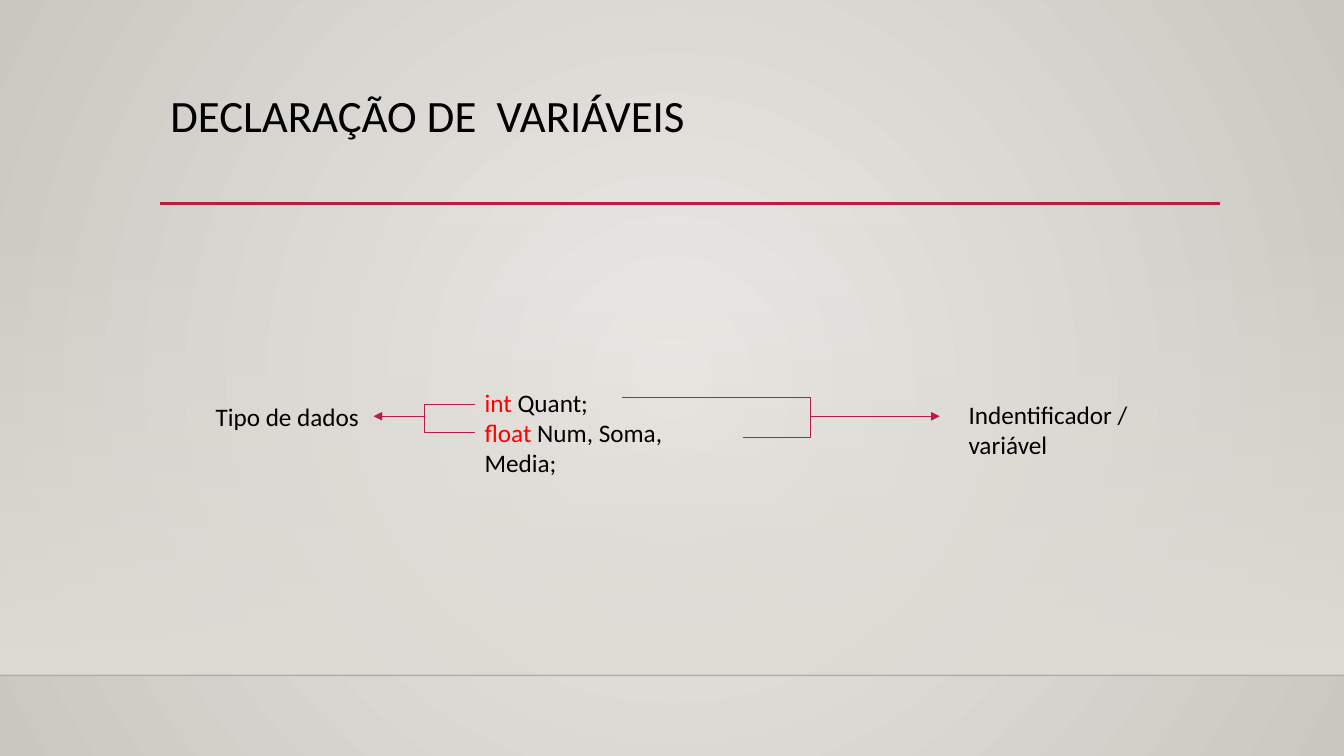
from dataclasses import dataclass

from lxml.etree import SubElement as add_node
from pptx import Presentation
from pptx.dml.color import RGBColor
from pptx.enum.shapes import MSO_CONNECTOR as Route, MSO_SHAPE as Preset
from pptx.enum.text import MSO_ANCHOR as Anchor, MSO_AUTO_SIZE as AutoSize, PP_ALIGN as Align
from pptx.oxml.ns import qn
from pptx.util import Emu, Pt

COLUMNS, ROWS = 40, 22.5
CELL = 304800
TITLE_ONLY = 5


@dataclass(frozen=True)
class Theme:
    font: str = "Calibri"
    title_size: int = 32
    text_size: int = 18
    ink: str = "000000"
    keyword: str = "FF0000"
    accent: str = "B71E42"
    floor: str = "000001"
    panel: str = "DFDBD5"
    glow: str = "ECEAE7"
    edge: str = "CAC7C1"


def cells(*values):
    return [Emu(round(value * CELL)) for value in values]


def apply(target, formats):
    for name, value in formats.items():
        setattr(target, name, value)


class SlideBuilder:
    def __init__(self, deck, theme):
        self.theme = theme
        self.page = deck.slides.add_slide(deck.slide_layouts[TITLE_ONLY])

    def gradient(self, owner, element, stops):
        owner.fill.gradient()
        node = next(element.iter(qn("a:gradFill")))
        for child in list(node):
            node.remove(child)
        stop_list = add_node(node, qn("a:gsLst"))
        for position, color, alpha in stops:
            stop = add_node(stop_list, qn("a:gs"), {"pos": str(position * 1000)})
            shade = add_node(stop, qn("a:srgbClr"), {"val": color})
            add_node(shade, qn("a:alpha"), {"val": str(alpha * 1000)})
        return node

    def backdrop(self):
        stops = [(0, self.theme.glow, 100), (100, self.theme.edge, 100)]
        node = self.gradient(self.page.background, self.page._element, stops)
        circle = add_node(node, qn("a:path"), {"path": "circle"})
        add_node(circle, qn("a:fillToRect"), dict.fromkeys("ltrb", "50000"))

    def panel(self, *place):
        box = self.page.shapes.add_shape(Preset.RECTANGLE, *cells(*place))
        box.shadow.inherit = False
        box.line.fill.background()
        stops = [(0, self.theme.panel, 0), (100, self.theme.panel, 100)]
        node = self.gradient(box, box._element, stops)
        add_node(node, qn("a:lin"), {"ang": "5400000", "scaled": "0"})

    def line(self, start, end, color, width, route=Route.STRAIGHT, alpha=100):
        line = self.page.shapes.add_connector(route, *cells(*start, *end))
        line.line.width = Pt(width)
        line.line.color.rgb = RGBColor.from_string(color)
        shade = next(line._element.iter(qn("a:srgbClr")))
        add_node(shade, qn("a:alpha"), {"val": str(alpha * 1000)})
        add_node(line._element.spPr, qn("a:effectLst"))
        return line

    def bent_arrow(self, start, end, bend):
        line = self.line(start, end, self.theme.accent, 0.75, Route.ELBOW)
        share = (bend - start[0]) / (end[0] - start[0])
        guides = next(line._element.iter(qn("a:avLst")))
        add_node(guides, qn("a:gd"), {"name": "adj1", "fmla": f"val {round(share * 100000)}"})
        outline = next(line._element.iter(qn("a:ln")))
        add_node(outline, qn("a:tailEnd"), {"type": "triangle"})

    def fill_text(self, box, lines, size):
        para = box.text_frame.paragraphs[0]
        para.alignment = Align.LEFT
        for index, pieces in enumerate(lines):
            if index:
                para.add_line_break()
            for text, color in pieces:
                span = para.add_run()
                span.text = text
                apply(span.font, {"name": self.theme.font, "size": Pt(size)})
                span.font.color.rgb = RGBColor.from_string(color)
        return para

    def title(self, text, *place):
        box = self.page.shapes.title
        apply(box, dict(zip(("left", "top", "width", "height"), cells(*place))))
        apply(box.text_frame, {"vertical_anchor": Anchor.TOP, "word_wrap": True})
        para = self.fill_text(box, [[(text, self.theme.ink)]], self.theme.title_size)
        para.line_spacing = 0.9

    def text(self, lines, *place):
        box = self.page.shapes.add_textbox(*cells(*place))
        apply(box.text_frame, {"word_wrap": True, "auto_size": AutoSize.SHAPE_TO_FIT_TEXT})
        self.fill_text(box, lines, self.theme.text_size)


def main():
    deck = Presentation()
    apply(deck, dict(zip(("slide_width", "slide_height"), cells(COLUMNS, ROWS))))
    theme = Theme()
    slide = SlideBuilder(deck, theme)

    slide.backdrop()
    slide.panel(0, 6.63, COLUMNS, 13.47)
    slide.line((0, 20.1), (COLUMNS, 20.1), theme.floor, 1, alpha=20)
    slide.line((4.77, 6.06), (36.3, 6.06), theme.accent, 2.5)
    slide.title("DECLARAÇÃO DE  VARIÁVEIS", 4.77, 2.64, 31.5, 3.45)

    code = [
        [("int", theme.keyword), (" Quant;", theme.ink)],
        [("float", theme.keyword), (" Num, Soma, Media;", theme.ink)],
    ]
    slide.text(code, 14.13, 11.37, 7.98, 3.03)
    slide.text([[("Tipo de dados", theme.ink)]], 6.12, 11.79, 4.98, 1.2)
    slide.text([[("Indentificador / variável", theme.ink)]], 28.53, 11.73, 7.74, 1.2)

    type_tip, name_tip = (11.13, 12.39), (27.96, 12.39)
    for start, tip, bend in [
        ((14.13, 12.87), type_tip, 12.63),
        ((14.13, 12.03), type_tip, 12.63),
        ((18.51, 11.82), name_tip, 24.12),
        ((22.11, 13.02), name_tip, 24.12),
    ]:
        slide.bent_arrow(start, tip, bend)

    deck.save("out.pptx")


if __name__ == "__main__":
    main()
